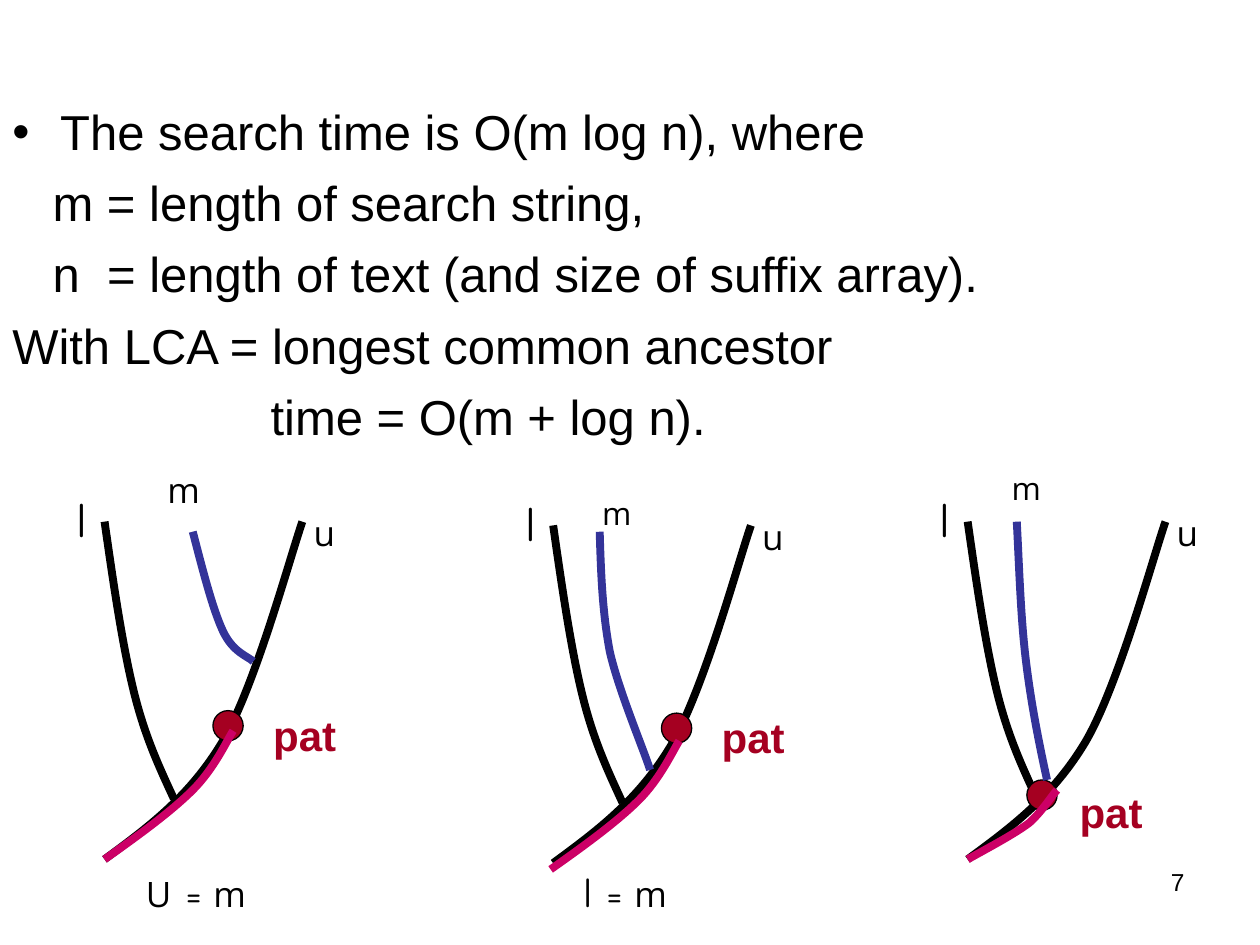
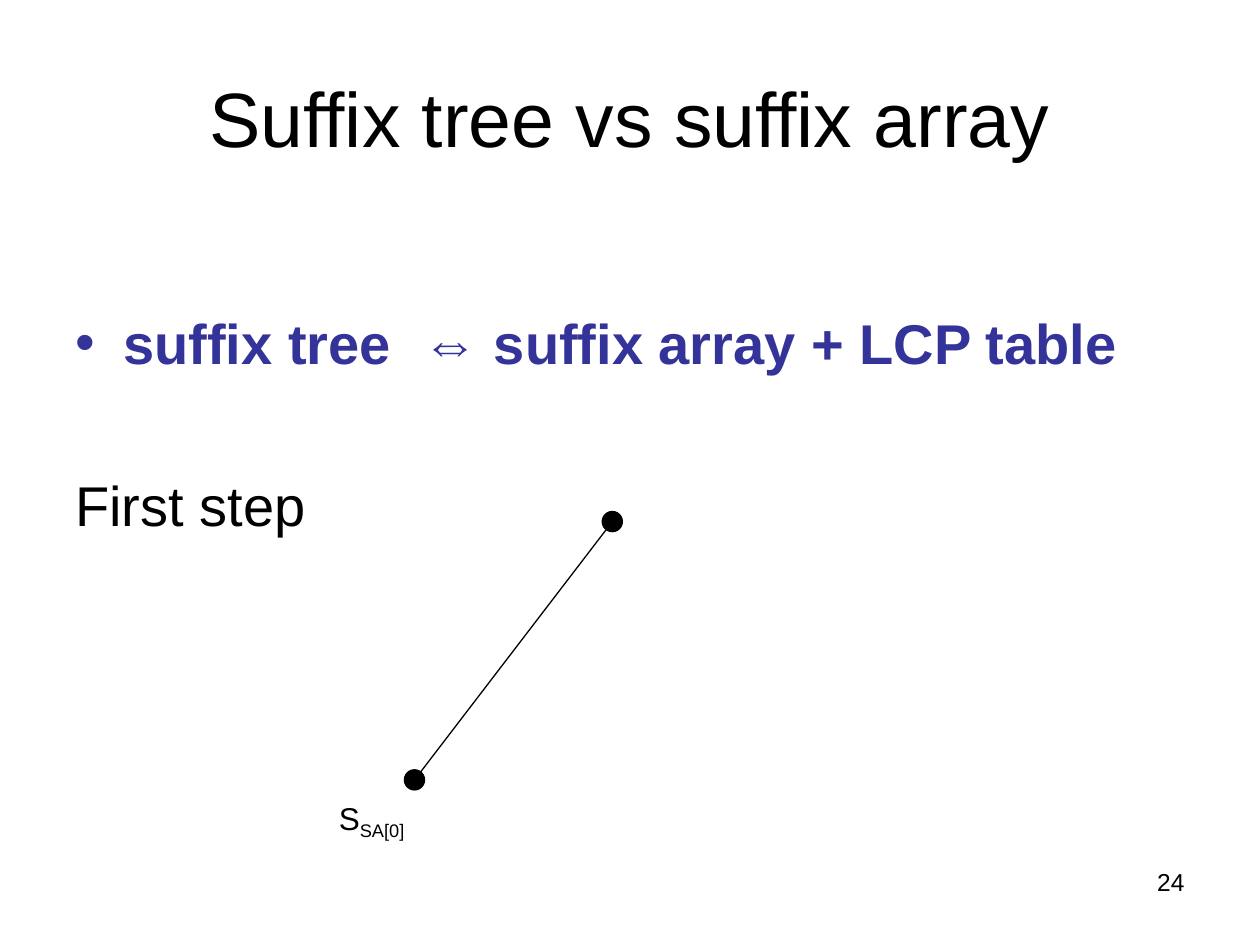
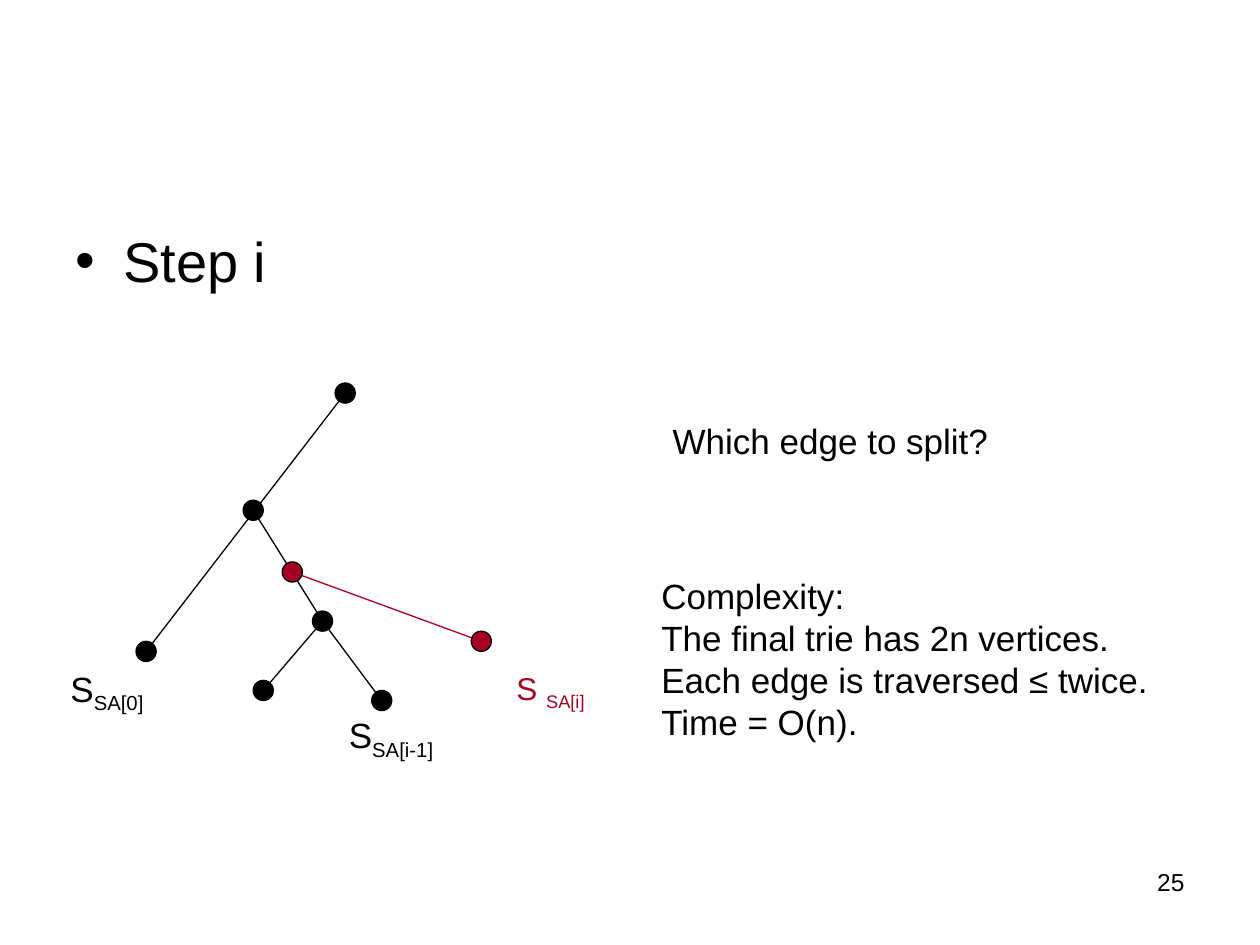
from dataclasses import dataclass

from lxml import etree
from pptx import Presentation
from pptx.dml.color import RGBColor
from pptx.enum.shapes import MSO_CONNECTOR as Connector
from pptx.enum.shapes import MSO_SHAPE as Preset
from pptx.enum.text import MSO_ANCHOR as Anchor
from pptx.enum.text import MSO_AUTO_SIZE as AutoSize
from pptx.enum.text import PP_ALIGN as Align
from pptx.oxml.ns import qn
from pptx.util import Inches, Pt

BLACK = RGBColor(0x00, 0x00, 0x00)
RED = RGBColor(0xA5, 0x00, 0x21)
BLUE = RGBColor(0x33, 0x33, 0x99)
PINK = RGBColor(0xCC, 0x00, 0x66)
ARIAL, COMIC, SANS = "Arial", "Comic Neue", "Open Sans"

HANGING = 0.38
LINE_HEIGHT = 1.2
NODE_SIZE = 0.16
KNOT_SIZE = 0.24

UPPER_BRANCH = [(0, 2.68), (0.34, 2.43), (0.68, 2.18), (0.94, 1.74),
                (1.2, 1.29), (1.47, 0.29), (1.57, 0)]
LOWER_BRANCH = [(0, 0), (0.07, 0.49), (0.14, 0.97), (0.23, 1.34),
                (0.32, 1.71), (0.44, 1.96), (0.55, 2.2)]
LONG_MATCH = [(0, 2.68), (0.27, 2.49), (0.53, 2.3), (0.7, 2.13),
              (0.87, 1.96), (0.97, 1.74), (1.02, 1.66)]
SHORT_MATCH = [(0, 2.68), (0.18, 2.58), (0.37, 2.48), (0.49, 2.39),
               (0.6, 2.29), (0.67, 2.17), (0.71, 2.13)]


@dataclass
class Run:
    text: str
    size: float = 20
    font: str = ARIAL
    color: RGBColor = BLACK
    bold: bool = False
    subscript: bool = False
    spacing: float = 0


@dataclass
class Line:
    runs: list
    margin: float = 0
    bullet: bool = False
    before: float = 0
    align: Align = Align.LEFT


@dataclass
class Case:
    left: float
    top: float
    middle_branch: list
    middle_label: tuple
    middle_size: float
    knot: tuple
    pattern_label: tuple
    match: list
    match_shift: tuple = (0, 0)
    caption: tuple = ()
    caption_runs: tuple = ()


def add_run(paragraph, item):
    run = paragraph.add_run()
    run.text = item.text
    run.font.name = item.font
    run.font.size = Pt(item.size)
    run.font.bold = item.bold
    run.font.color.rgb = item.color
    properties = run._r.get_or_add_rPr()
    if item.subscript:
        properties.set("baseline", "-25000")
    if item.spacing:
        properties.set("spc", str(round(item.spacing * 100)))


def add_text(slide, left, top, width, height, lines, wrap=True, anchor=Anchor.TOP):
    box = slide.shapes.add_textbox(Inches(left), Inches(top), Inches(width), Inches(height))
    frame = box.text_frame
    frame.word_wrap = wrap
    frame.auto_size = AutoSize.NONE if wrap else AutoSize.SHAPE_TO_FIT_TEXT
    frame.vertical_anchor = anchor
    for index, line in enumerate(lines):
        paragraph = frame.add_paragraph() if index else frame.paragraphs[0]
        properties = paragraph._p.get_or_add_pPr()
        margin = HANGING if line.bullet else line.margin
        properties.set("marL", str(Inches(margin)))
        properties.set("indent", str(-Inches(HANGING) if line.bullet else 0))
        if line.bullet:
            etree.SubElement(properties, qn("a:buFont")).set("typeface", ARIAL)
            etree.SubElement(properties, qn("a:buChar")).set("char", "•")
        paragraph.alignment = line.align
        paragraph.line_spacing = Pt(LINE_HEIGHT * max(run.size for run in line.runs))
        if index:
            paragraph.space_before = Pt(line.before)
        for run in line.runs:
            add_run(paragraph, run)


def add_label(slide, left, top, width, height, *runs):
    add_text(slide, left, top, width, height, [Line(runs)], wrap=False)


def add_page_number(slide, number):
    add_text(slide, 7.17, 6.83, 2.33, 0.52, [Line([Run(number, 14)], align=Align.RIGHT)])


def add_disc(slide, center_x, center_y, size, color):
    disc = slide.shapes.add_shape(Preset.OVAL, Inches(center_x - size / 2),
                                  Inches(center_y - size / 2), Inches(size), Inches(size))
    disc.shadow.inherit = False
    disc.fill.solid()
    disc.fill.fore_color.rgb = color
    disc.line.color.rgb = BLACK
    disc.line.width = Pt(0.75)


def add_edge(slide, start, end, color):
    edge = slide.shapes.add_connector(Connector.STRAIGHT, *map(Inches, (*start, *end)))
    edge.line.color.rgb = color
    edge.line.width = Pt(0.75)
    etree.SubElement(edge._element.spPr, qn("a:effectLst"))


def bend_segments(curve):
    segments = list(curve._element.iter(qn("a:lnTo")))
    for first in range(0, len(segments), 3):
        bend = etree.Element(qn("a:cubicBezTo"))
        segments[first].addprevious(bend)
        for segment in segments[first:first + 3]:
            bend.append(segment[0])
            segment.getparent().remove(segment)


def add_curve(slide, left, top, controls, color):
    points = [(Inches(left + x), Inches(top + y)) for x, y in controls]
    builder = slide.shapes.build_freeform(*points[0])
    builder.add_line_segments(points[1:], close=False)
    curve = builder.convert_to_shape()
    bend_segments(curve)
    curve.shadow.inherit = False
    curve.fill.background()
    curve.line.color.rgb = color
    curve.line.width = Pt(4.5)


def draw_case(slide, case):
    left, top = case.left, case.top

    def label(offset, width, height, *runs):
        add_label(slide, left + offset[0], top + offset[1], width, height, *runs)

    add_curve(slide, left, top, UPPER_BRANCH, BLACK)
    add_curve(slide, left, top, LOWER_BRANCH, BLACK)
    add_disc(slide, left + case.knot[0], top + case.knot[1], KNOT_SIZE, RED)
    label(case.pattern_label, 0.7, 0.5, Run("pat", 24, color=RED, bold=True))
    label((-0.32, -0.31), 0.3, 0.57, Run("l", 28, COMIC))
    label((1.56, -0.13), 0.37, 0.44, Run("u", 20, SANS))
    add_curve(slide, left, top, case.middle_branch, BLUE)
    label(case.middle_label, 0.44, 0.42, Run("m", case.middle_size, SANS))
    if case.caption:
        runs = [*case.caption_runs, Run("= ", 20, COMIC), Run("m", 20, SANS)]
        add_text(slide, left + case.caption[0], top + case.caption[1], 1.42, 0.5, [Line(runs)])
    add_curve(slide, left + case.match_shift[0], top + case.match_shift[1], case.match, PINK)


def draw_tree(slide, left, top, nodes, edges, new_nodes=()):
    def color_of(name):
        return RED if name in new_nodes else BLACK

    places = {name: (left + x, top + y) for name, (x, y) in nodes.items()}
    for start, end in edges:
        add_edge(slide, places[start], places[end], color_of(end))
    for name, place in places.items():
        add_disc(slide, *place, NODE_SIZE, color_of(name))


def suffix_runs(index, size, color=BLACK, base="S"):
    return Run(base, size, color=color), Run(f"SA[{index}]", size, color=color, subscript=True)


def build_search_time(slide):
    add_page_number(slide, "7")
    add_text(slide, 0, 0.76, 10, 4.95, [
        Line([Run("The search time is O(m log n), where", 28)], bullet=True),
        Line([Run("m = length of search string,", 28)], margin=0.32, before=7),
        Line([Run("n", 28, spacing=7.8),
              Run(" = length of text (and size of suffix array).", 28)], margin=0.32, before=7),
        Line([Run("With LCA = longest common ancestor", 28)], before=7),
        Line([Run("time = O(m + log n).", 28)], margin=2.05, before=7),
    ])
    cases = [
        Case(0.83, 4.14,
             [(0.7, 0.08), (0.78, 0.39), (0.86, 0.7), (0.94, 0.87),
              (1.02, 1.04), (1.14, 1.07), (1.18, 1.11)],
             (0.4, -0.47), 20, (0.98, 1.62), (1.24, 1.44), LONG_MATCH,
             caption=(0.23, 2.68), caption_runs=(Run("U", 20, SANS), Run(" ", 24, COMIC))),
        Case(4.39, 4.17,
             [(0.37, 0.05), (0.38, 0.37), (0.39, 0.68), (0.45, 1),
              (0.52, 1.31), (0.72, 1.78), (0.77, 1.94)],
             (0.29, -0.3), 18, (0.98, 1.61), (1.24, 1.43), LONG_MATCH, (-0.02, 0.05),
             caption=(0.14, 2.65), caption_runs=(Run("l ", 24, COMIC),)),
        Case(7.68, 4.14,
             [(0.39, 0), (0.41, 0.37), (0.42, 0.74), (0.46, 1.08),
              (0.5, 1.42), (0.56, 1.73), (0.63, 2.05)],
             (0.25, -0.47), 18, (0.59, 2.17), (0.79, 2.05), SHORT_MATCH),
    ]
    for case in cases:
        draw_case(slide, case)


def build_first_step(slide):
    add_page_number(slide, "24")
    add_text(slide, 0.5, 0.3, 9, 1.25,
             [Line([Run("Suffix tree vs suffix array", 44)], align=Align.CENTER)],
             anchor=Anchor.MIDDLE)
    add_text(slide, 0.5, 2.4, 9, 4.3, [
        Line([Run("suffix tree", 32, color=BLUE, bold=True),
              Run(" ", 32, color=BLUE, bold=True, spacing=8.9),
              Run("⇔ suffix array + LCP table", 32, color=BLUE, bold=True)], bullet=True),
        Line([Run("First step", 32)], before=54.4),
    ])
    draw_tree(slide, 4.86, 4.14, {"root": (0, 0), "first": (-1.57, 2.05)}, [("root", "first")])
    add_label(slide, 2.59, 6.33, 0.72, 0.44, *suffix_runs("0", 18))


def build_step_i(slide):
    add_page_number(slide, "25")
    nodes = {"root": (0, 0), "first": (-1.58, 2.05), "fork": (-0.73, 0.93),
             "inner": (-0.18, 1.81), "left": (-0.65, 2.36), "previous": (0.29, 2.44),
             "split": (-0.42, 1.42), "new": (1.08, 1.97)}
    edges = [("root", "first"), ("fork", "inner"), ("inner", "previous"),
             ("inner", "left"), ("split", "new")]
    draw_tree(slide, 2.74, 3.12, nodes, edges, new_nodes=("split", "new"))
    add_label(slide, 0.46, 5.29, 0.78, 0.48, *suffix_runs("0", 20))
    add_label(slide, 2.67, 5.66, 0.87, 0.48, *suffix_runs("i-1", 20))
    add_label(slide, 4, 5.3, 0.74, 0.44, *suffix_runs("i", 18, RED, "S "))
    add_text(slide, 0.5, 1.75, 9, 4.95, [Line([Run("Step i", 32)], bullet=True)])
    complexity = ["Complexity:", "The final trie has 2n vertices.",
                  "Each edge is traversed ≤ twice.", "Time = O(n)."]
    add_text(slide, 5.15, 4.51, 4.3, 1.44, [Line([Run(text)]) for text in complexity])
    add_text(slide, 5.24, 3.28, 3, 0.44, [Line([Run("Which edge to split?")])])


def main():
    presentation = Presentation()
    presentation.slide_width = Inches(10)
    presentation.slide_height = Inches(7.5)
    blank = presentation.slide_layouts[6]
    for build in (build_search_time, build_first_step, build_step_i):
        build(presentation.slides.add_slide(blank))
    presentation.save("out.pptx")


if __name__ == "__main__":
    main()
